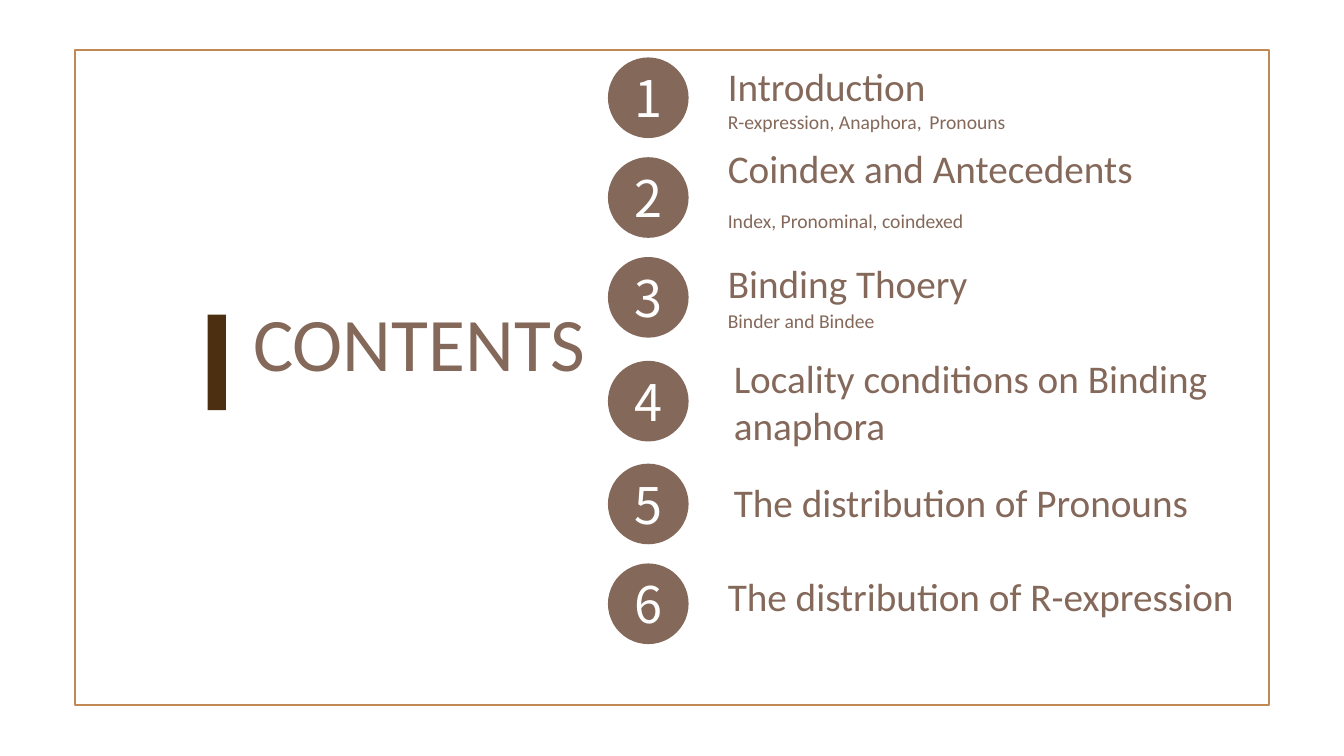
import pptx
import pptx.util
import pptx.dml.color
import pptx.enum.shapes
import pptx.enum.text

PX = 9144
BROWN = "84685A"
WHITE = "FFFFFF"
SHAPE = pptx.enum.shapes.MSO_SHAPE
ALIGN = pptx.enum.text.PP_ALIGN
ANCHOR = pptx.enum.text.MSO_ANCHOR

CIRCLE_TOPS = [57, 156, 255, 358, 460, 559]
HEADINGS = [
    ("Introduction", 712, 57, 309, 57, 1.0),
    ("Coindex and Antecedents", 712, 138, 533, 57, 1.0),
    ("Binding Thoery", 712, 252, 309, 57, 1.0),
    ("Locality conditions on Binding anaphora", 718, 347, 527, 104, 1.0),
    ("The distribution of Pronouns", 718, 465, 492, 62, 1.1),
    ("The distribution of R-expression", 712, 563, 533, 81, 1.0),
]
DETAILS = [
    ("R-expression, Anaphora, \tPronouns", 104, ALIGN.JUSTIFY),
    ("Index, Pronominal, coindexed", 202, ALIGN.JUSTIFY),
    ("Binder and Bindee", 302, ALIGN.LEFT),
]


def color(value):
    return pptx.dml.color.RGBColor.from_string(value)


def box(*lengths):
    return [pptx.util.Emu(n * PX) for n in lengths]


def write(tf, text, size, align=ALIGN.LEFT, font="Calibri", hue=BROWN, spacing=1.0):
    tf.word_wrap = True
    tf.auto_size = pptx.enum.text.MSO_AUTO_SIZE.NONE
    p = tf.paragraphs[0]
    p.alignment = align
    p.line_spacing = spacing
    r = p.add_run()
    r.text = text
    r.font.size = pptx.util.Pt(size)
    r.font.name = font
    r.font.color.rgb = color(hue)


def add_shape(s, kind, x, y, w, h, fill, line=None):
    sp = s.shapes.add_shape(kind, *box(x, y, w, h))
    sp.shadow.inherit = False
    sp.fill.solid()
    sp.fill.fore_color.rgb = color(fill)
    if line:
        sp.line.color.rgb = color(line)
        sp.line.width = pptx.util.Pt(1.5)
    else:
        sp.line.fill.background()
    return sp


def add_number(s, number, y):
    sp = add_shape(s, SHAPE.OVAL, 603, y, 80, 80, BROWN)
    tf = sp.text_frame
    tf.margin_left = tf.margin_right = tf.margin_top = tf.margin_bottom = 0
    tf.vertical_anchor = ANCHOR.MIDDLE
    write(tf, str(number), 36, ALIGN.CENTER, "Noto Sans CJK SC", WHITE)


def add_text(s, text, x, y, w, h, size, align=ALIGN.LEFT, spacing=1.0):
    sp = s.shapes.add_textbox(*box(x, y, w, h))
    write(sp.text_frame, text, size, align, spacing=spacing)


def set_title(s, text, x, y, w, h, size):
    sp = s.shapes.title
    sp.left, sp.top, sp.width, sp.height = box(x, y, w, h)
    sp.text_frame.vertical_anchor = ANCHOR.TOP
    write(sp.text_frame, text, size, ALIGN.JUSTIFY)
    return sp


def main():
    prs = pptx.Presentation()
    prs.slide_width, prs.slide_height = box(1333, 750)
    s = prs.slides.add_slide(prs.slide_layouts[5])

    add_shape(s, SHAPE.RECTANGLE, 74, 50, 1185, 649, WHITE, "C18953")
    bar = add_shape(s, SHAPE.RECTANGLE, 206, 312, 18, 95, "4C2F10")
    title = set_title(s, "CONTENTS", 241, 289, 362, 101, 54)
    bar.element.addnext(title.element)

    for number, y in enumerate(CIRCLE_TOPS, 1):
        add_number(s, number, y)
    for text, x, y, w, h, spacing in HEADINGS:
        add_text(s, text, x, y, w, h, 28, spacing=spacing)
    for text, y, align in DETAILS:
        add_text(s, text, 712, y, 309, 34, 14, align)

    prs.save("out.pptx")


if __name__ == "__main__":
    main()
